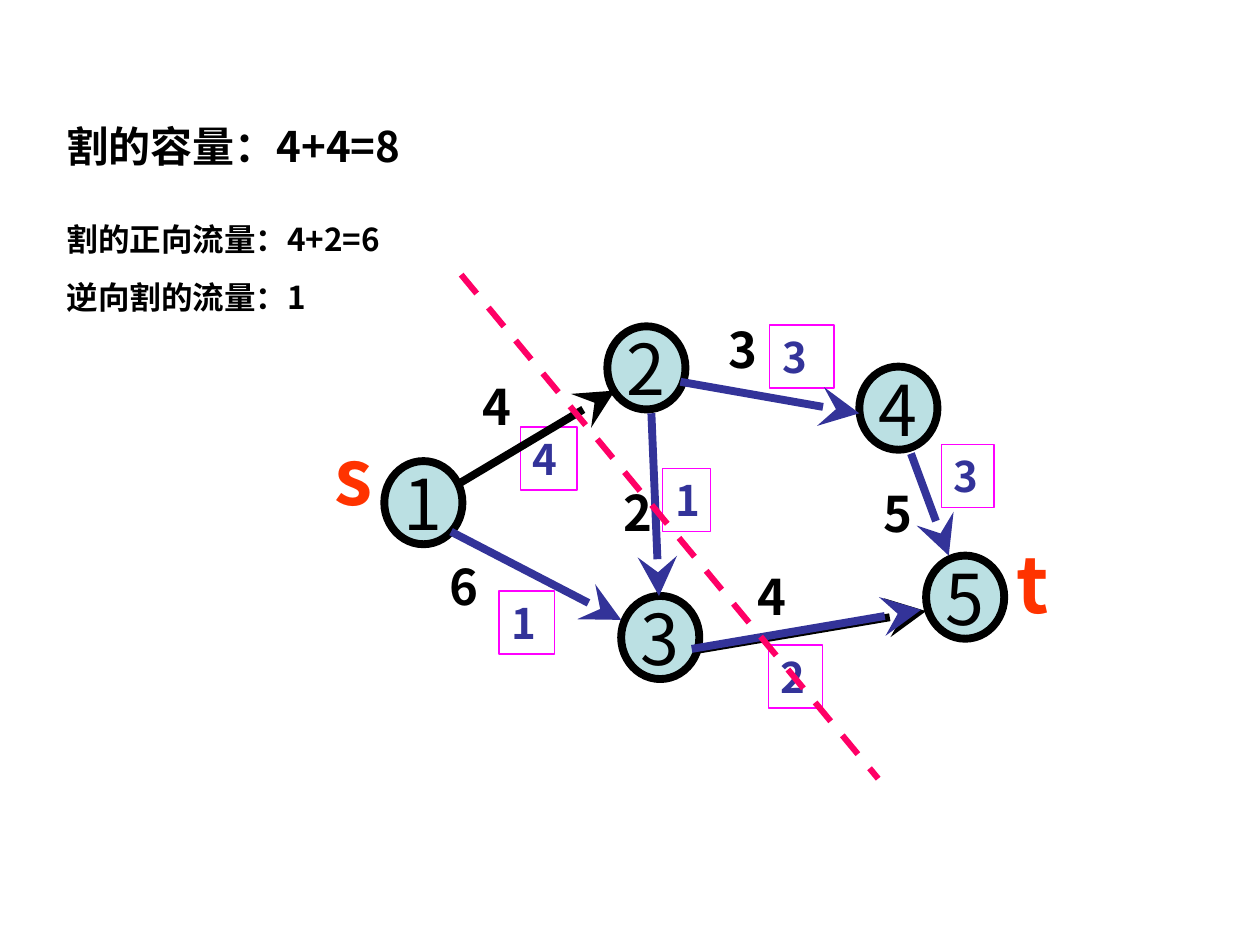
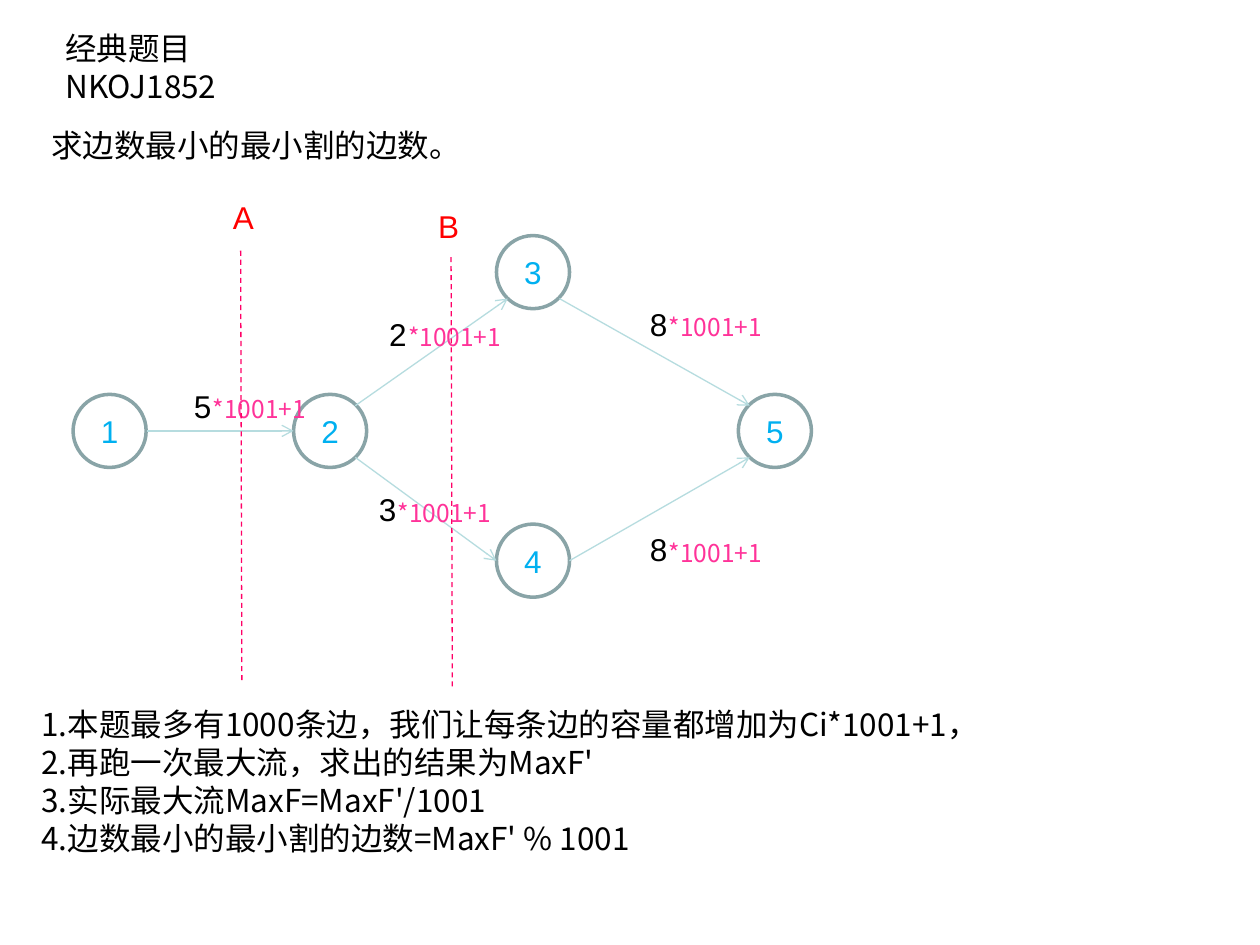
from lxml import etree
from pptx import Presentation
from pptx import util as u
from pptx.dml.color import RGBColor
from pptx.enum import dml, shapes, text
from pptx.oxml import ns

PX = 9144  # 100 px to the inch
CJK = "Noto Sans CJK SC"
COLORS = {
    "black": "000000", "white": "FFFFFF", "node": "BBE0E3", "flow": "333399",
    "flow_box": "FF00FF", "terminal": "FF3300", "cut": "FF0066",
    "ring": "89A4A7", "digit": "00B0F0", "edge": "B6DCDF",
    "cut_name": "FF0000", "factor": "FF3399",
}


def add_text(page, content, left, top, width, height, size=18, color="black",
             font=CJK, bold=False, kind=None, fill=None, line=None,
             line_width=0.75, centred=False, wrap=True, gap=0):
    """Add a text box, or a preset shape when kind is given; one paragraph per line."""
    place = [u.Emu(n * PX) for n in (left, top, width, height)]
    if kind is None:
        box = page.shapes.add_textbox(*place)
    else:
        box = page.shapes.add_shape(kind, *place)
        box.shadow.inherit = False
        if fill:
            box.fill.solid()
            box.fill.fore_color.rgb = RGBColor.from_string(COLORS[fill])
        else:
            box.fill.background()
        box.line.color.rgb = RGBColor.from_string(COLORS[line])
        box.line.width = u.Pt(line_width)
    frame = box.text_frame
    frame.word_wrap = wrap
    frame.vertical_anchor = text.MSO_ANCHOR.MIDDLE if centred else text.MSO_ANCHOR.TOP
    for index, words in enumerate(content.split("\n")):
        para = frame.add_paragraph() if index else frame.paragraphs[0]
        para.alignment = text.PP_ALIGN.CENTER if centred else text.PP_ALIGN.LEFT
        if index and gap:
            para.space_before = u.Pt(gap)
        span = para.add_run()
        span.text = words
        span.font.size = u.Pt(size)
        span.font.bold = bold
        span.font.name = font
        span.font.color.rgb = RGBColor.from_string(COLORS[color])
        etree.SubElement(span.font._element, ns.qn("a:ea"), typeface=CJK)


def add_line(page, start, end, color, width=0.75, head=None, head_size="med", dashed=False):
    """Add a straight line with an optional arrowhead at its end."""
    points = [u.Emu(n * PX) for n in (*start, *end)]
    link = page.shapes.add_connector(shapes.MSO_CONNECTOR.STRAIGHT, *points)
    link.line.color.rgb = RGBColor.from_string(COLORS[color])
    link.line.width = u.Pt(width)
    if dashed:
        link.line.dash_style = dml.MSO_LINE.DASH
    if head:
        etree.SubElement(link.line._get_or_add_ln(), ns.qn("a:tailEnd"),
                         type=head, w=head_size, len=head_size)
    etree.SubElement(link._element.spPr, ns.qn("a:effectLst"))


deck = Presentation()
deck.slide_width = u.Emu(1000 * PX)
deck.slide_height = u.Emu(750 * PX)
blank = deck.slide_layouts[6]
OVAL = shapes.MSO_SHAPE.OVAL

# Slide 1: capacity and flow across a cut
page = deck.slides.add_slide(blank)
add_line(page, (552, 516), (735, 485), "black", 4.5, "stealth", "lg")

# Boxed flow on each edge
for flow, left, top, width in [
    ("4", 413, 339, 45), ("1", 526, 372, 38), ("2", 610, 512, 43),
    ("3", 611, 258, 51), ("3", 747, 353, 42), ("1", 396, 469, 44),
]:
    add_text(page, flow, left, top, width, 50, size=24, color="flow", bold=True,
             kind=shapes.MSO_SHAPE.RECTANGLE, line="flow_box")

# Nodes
for name, left, top in [("1", 305, 366), ("2", 482, 259), ("4", 682, 291),
                        ("3", 493, 473), ("5", 735, 441)]:
    add_text(page, name, left, top, 62, 66, size=40, kind=OVAL, fill="node",
             line="black", line_width=4.5, centred=True, wrap=False)

# Edges
for start, end, color in [
    ((364, 384), (488, 310), "black"), ((358, 422), (493, 492), "flow"),
    ((540, 303), (682, 328), "flow"), ((723, 360), (753, 441), "flow"),
    ((517, 328), (523, 473), "flow"), ((549, 515), (731, 484), "flow"),
]:
    add_line(page, start, end, color, 4.5, "stealth", "lg")

# Edge capacities
for capacity, left, top in [("6", 347, 437), ("4", 373, 294), ("3", 568, 249),
                            ("4", 591, 445), ("5", 691, 379), ("2", 485, 378)]:
    add_text(page, capacity, left, top, 35, 57, size=28, bold=True)

# Source, sink and cut
for name, left, top in [("s", 256, 335), ("t", 797, 421)]:
    add_text(page, name, left, top, 49, 84, size=44, color="terminal", bold=True)
add_line(page, (366, 218), (697, 618), "cut", 3.5, dashed=True)

# Sums
add_text(page, "割的容量：4+4=8", 43, 91, 370, 50, size=24, bold=True)
add_text(page, "割的正向流量：4+2=6\n逆向割的流量：1", 43, 170, 354, 86, bold=True, gap=11.2)

# Slide 2: minimum cut with the fewest edges
page = deck.slides.add_slide(blank)
add_text(page, "经典题目\nNKOJ1852", 42, 18, 248, 70)
add_text(page, "求边数最小的最小割的边数。", 31, 95, 803, 40, font="Arial")

# Nodes
for name, left, top in [("1", 58, 313), ("2", 233, 313), ("3", 394, 187),
                        ("4", 394, 416), ("5", 586, 313)]:
    add_text(page, name, left, top, 58, 58, color="digit", font="Arial", kind=OVAL,
             fill="white", line="ring", line_width=2, centred=True)

# Edges
for start, end in [((117, 342), (233, 342)), ((282, 322), (403, 237)),
                   ((282, 363), (394, 445)), ((444, 237), (595, 322)),
                   ((452, 445), (595, 363))]:
    add_line(page, start, end, "edge", head="arrow")

# Capacities, each followed by its scaling
for capacity, left, top in [("5", 144, 302), ("2", 299, 245), ("3", 291, 384),
                            ("8", 506, 237), ("8", 506, 416)]:
    add_text(page, capacity, left, top, 60, 40, font="Arial")
    add_text(page, "*1001+1", left + 15, top + 6, 107, 34, size=14, color="factor")

# Cuts
for name, left, top, x, y in [("A", 175, 152, 191, 199), ("B", 338, 159, 358, 204)]:
    add_line(page, (x, y), (x + 1, y + 342), "cut", dashed=True)
    add_text(page, name, left, top, 83, 40, color="cut_name", font="Arial")

# Method
add_text(page, "\n".join([
    "1.本题最多有1000条边，我们让每条边的容量都增加为Ci*1001+1，",
    "2.再跑一次最大流，求出的结果为MaxF'",
    "3.实际最大流MaxF=MaxF'/1001",
    "4.边数最小的最小割的边数=MaxF' % 1001",
]), 23, 555, 897, 130)

deck.save("out.pptx")
